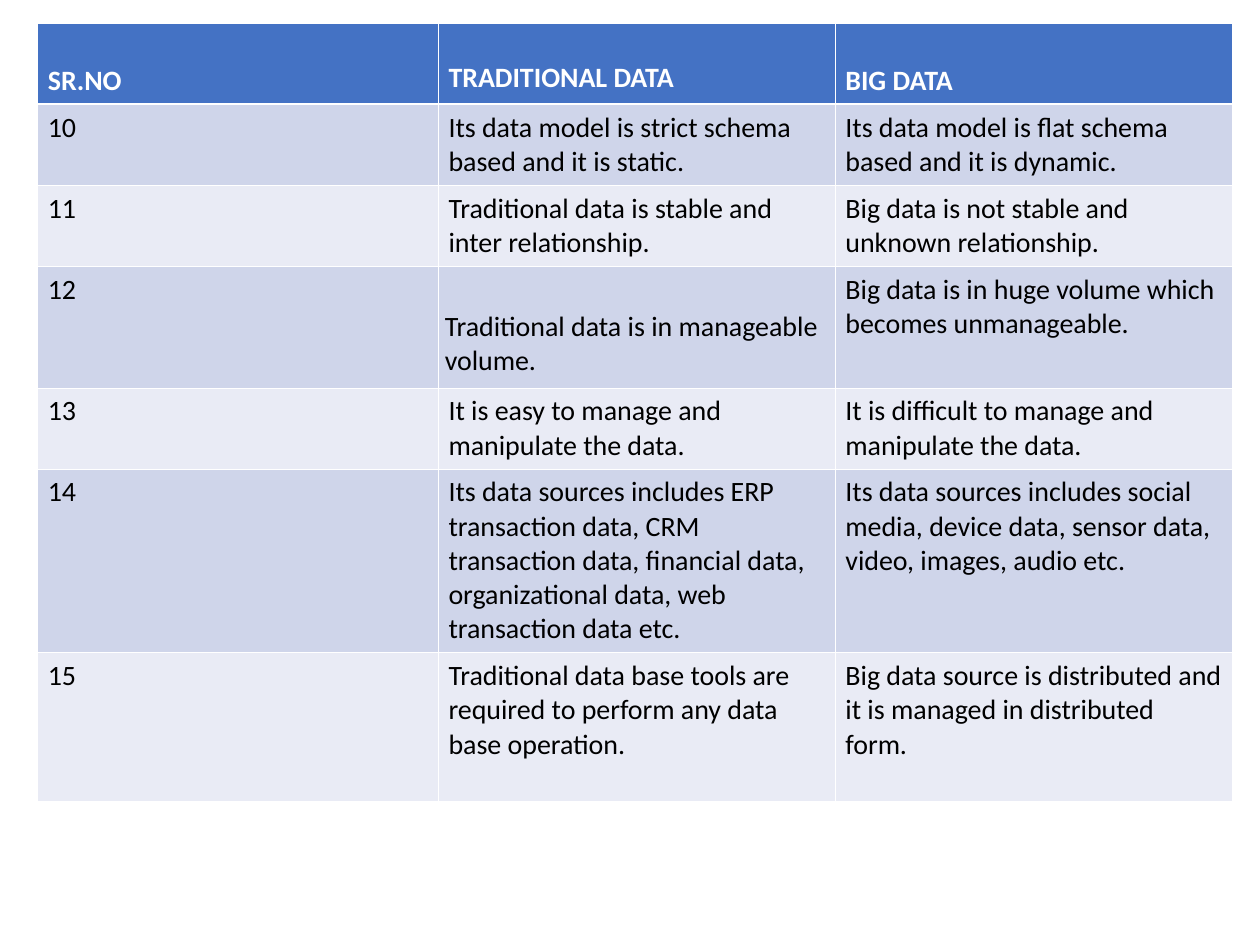
from dataclasses import dataclass
from typing import Any

from lxml.etree import SubElement
from pptx import Presentation
from pptx.dml.color import RGBColor
from pptx.enum.text import MSO_ANCHOR
from pptx.oxml.ns import qn
from pptx.util import Inches, Pt

SLIDE_WIDTH, SLIDE_HEIGHT = 10, 7.5
TABLE_LEFT, TABLE_TOP = 0.03 * SLIDE_WIDTH, 0.025 * SLIDE_HEIGHT
COLUMN_SHARES = (0.318, 0.315, 0.315)
LINE_HEIGHT, ROW_PADDING = 0.27, 0.1
WHITE, BLACK, HEADER_FILL = "FFFFFF", "000000", "4472C4"
BAND_FILLS = ("E9EBF5", "CFD5EA")
THIN, THICK = 0.45, 1.47


@dataclass(frozen=True)
class Row:
    lines: float
    texts: tuple[str, str, str]


@dataclass(frozen=True)
class Placement:
    anchor: Any = MSO_ANCHOR.TOP
    side: float = 0.08
    bottom: float = 0.05


ROWS = (
    Row(2, ("SR.NO", "TRADITIONAL DATA", "BIG DATA")),
    Row(2, ("10", "Its data model is strict schema based and it is static.",
            "Its data model is flat schema based and it is dynamic.")),
    Row(2, ("11", "Traditional data is stable and inter relationship.",
            "Big data is not stable and unknown relationship.")),
    Row(3.2, ("12", "Traditional data is in manageable volume.",
              "Big data is in huge volume which becomes unmanageable.")),
    Row(2, ("13", "It is easy to manage and manipulate the data.",
            "It is difficult to manage and manipulate the data.")),
    Row(5, ("14", "Its data sources includes ERP transaction data, CRM transaction data, "
            "financial data, organizational data, web transaction data etc.",
            "Its data sources includes social media, device data, sensor data, "
            "video, images, audio etc.")),
    Row(4, ("15", "Traditional data base tools are required to perform any data base operation.",
            "Big data source is distributed and it is managed in distributed form.")),
)
PLACEMENTS = {
    (0, 0): Placement(MSO_ANCHOR.BOTTOM),
    (0, 1): Placement(MSO_ANCHOR.BOTTOM, bottom=0.07),
    (0, 2): Placement(MSO_ANCHOR.BOTTOM),
    (3, 1): Placement(MSO_ANCHOR.BOTTOM, side=0.05, bottom=0.08),
}


def colour(value: str) -> RGBColor:
    return RGBColor.from_string(value)


def apply(target: Any, formats: dict[str, Any]) -> None:
    for name, value in formats.items():
        setattr(target, name, value)


def draw_borders(cell: Any, row_index: int) -> None:
    widths = {"lnL": THIN, "lnR": THIN,
              "lnT": THICK if row_index == 1 else THIN,
              "lnB": THICK if row_index == 0 else THIN}
    properties = cell._tc.get_or_add_tcPr()
    for edge, width in widths.items():
        line = SubElement(properties, qn(f"a:{edge}"), w=str(Pt(width)))
        fill = SubElement(line, qn("a:solidFill"))
        SubElement(fill, qn("a:srgbClr"), val=WHITE)


def draw_cell(cell: Any, text: str, row_index: int, placement: Placement) -> None:
    header = row_index == 0
    apply(cell, {
        "vertical_anchor": placement.anchor,
        "margin_left": Inches(placement.side),
        "margin_right": Inches(placement.side),
        "margin_top": Inches(0.05),
        "margin_bottom": Inches(placement.bottom),
    })
    draw_borders(cell, row_index)
    cell.fill.solid()
    cell.fill.fore_color.rgb = colour(HEADER_FILL if header else BAND_FILLS[row_index % 2])
    span = cell.text_frame.paragraphs[0].add_run()
    span.text = text
    apply(span.font, {"name": "Calibri", "size": Pt(16), "bold": header})
    span.font.color.rgb = colour(WHITE if header else BLACK)


def draw_table(page: Any) -> None:
    heights = [row.lines * LINE_HEIGHT + ROW_PADDING for row in ROWS]
    widths = [share * SLIDE_WIDTH for share in COLUMN_SHARES]
    table = page.shapes.add_table(
        len(ROWS), len(widths), Inches(TABLE_LEFT), Inches(TABLE_TOP),
        Inches(sum(widths)), Inches(sum(heights))).table
    apply(table, {"first_row": False, "horz_banding": False})
    for column, width in zip(table.columns, widths):
        column.width = Inches(width)
    for row_index, (row, height) in enumerate(zip(ROWS, heights)):
        table.rows[row_index].height = Inches(height)
        for column_index, text in enumerate(row.texts):
            placement = PLACEMENTS.get((row_index, column_index), Placement())
            draw_cell(table.cell(row_index, column_index), text, row_index, placement)


def main() -> None:
    deck = Presentation()
    apply(deck, {"slide_width": Inches(SLIDE_WIDTH), "slide_height": Inches(SLIDE_HEIGHT)})
    page = deck.slides.add_slide(deck.slide_layouts[6])
    draw_table(page)
    deck.save("out.pptx")


if __name__ == "__main__":
    main()
